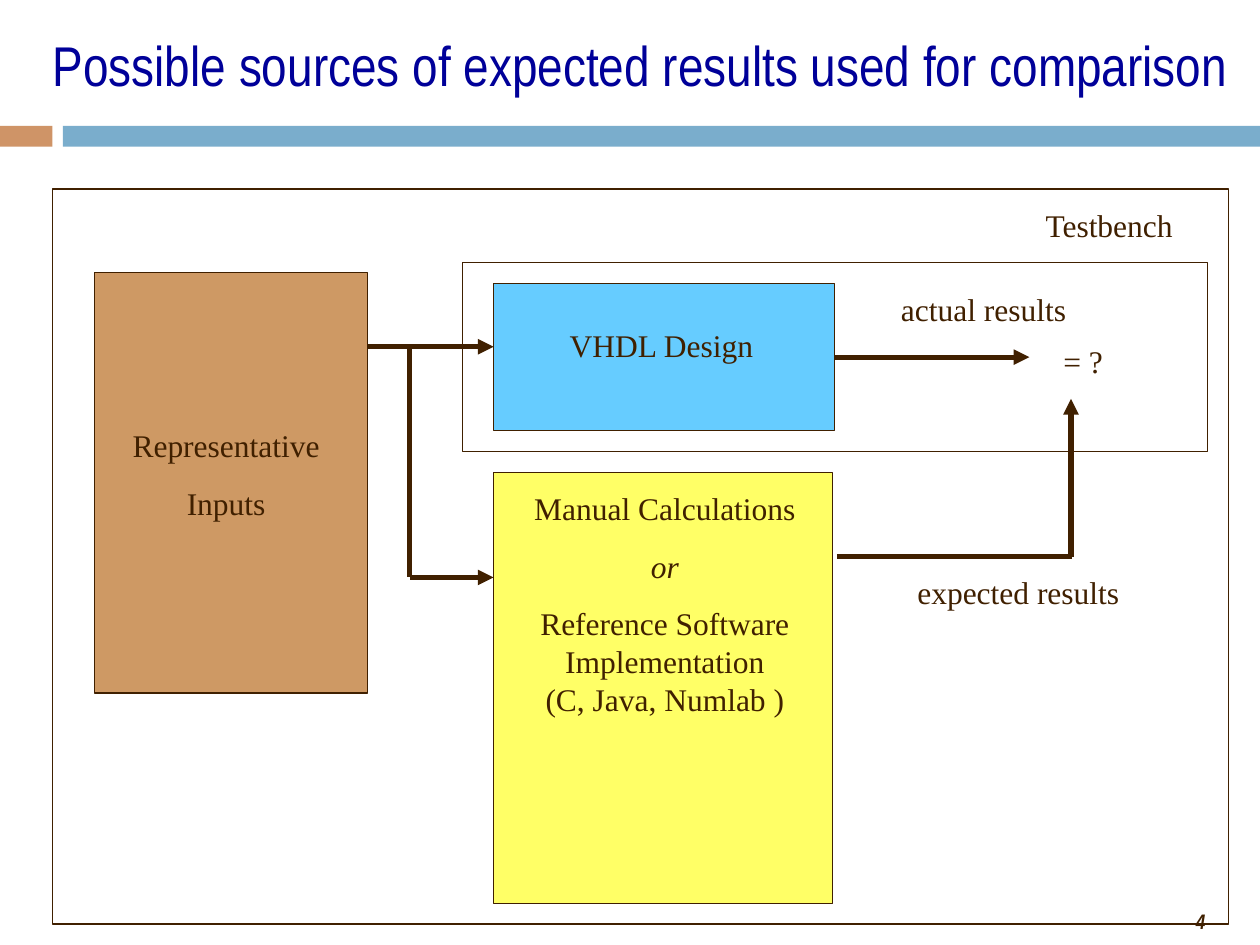
from lxml.etree import SubElement
from pptx import Presentation
from pptx.dml.color import RGBColor
from pptx.enum.shapes import MSO_CONNECTOR as Line, MSO_SHAPE as Shape
from pptx.enum.text import MSO_AUTO_SIZE as AutoSize, PP_ALIGN as Align
from pptx.oxml.ns import qn
from pptx.util import Cm, Pt

INK = "402000"
BODY = {"name": "Times New Roman", "size": Pt(18)}
TITLE = {"name": "Arial Narrow", "size": Pt(32)}
PAGE = {"name": "Arial Narrow", "size": Pt(12), "bold": True, "italic": True}


def colour(hex_value):
    return RGBColor.from_string(hex_value)


def place(box, left, top, width, height):
    """Turn a position relative to box into absolute lengths."""
    return Cm(box[0] + left), Cm(box[1] + top), Cm(width), Cm(height)


def add_block(slide, box, at, fill=None, outlined=True):
    block = slide.shapes.add_shape(Shape.RECTANGLE, *place(box, *at))
    block.shadow.inherit = False
    if fill:
        block.fill.solid()
        block.fill.fore_color.rgb = colour(fill)
    else:
        block.fill.background()
    if outlined:
        block.line.color.rgb = colour(INK)
        block.line.width = Pt(0.75)
    else:
        block.line.fill.background()
    return block


def add_text(slide, box, at, paragraphs, font=BODY, ink=INK, wrap=True,
             align=Align.CENTER, spacing=None):
    frame = slide.shapes.add_textbox(*place(box, *at)).text_frame
    frame.word_wrap = wrap
    frame.auto_size = AutoSize.SHAPE_TO_FIT_TEXT
    for i, (words, extra) in enumerate(paragraphs):
        paragraph = frame.add_paragraph() if i else frame.paragraphs[0]
        paragraph.text = words
        paragraph.alignment = align
        paragraph.line_spacing = spacing
        if i:
            paragraph.space_before = Pt(11.2)
        for run in paragraph.runs:
            for key, value in {**font, **extra}.items():
                setattr(run.font, key, value)
            run.font.color.rgb = colour(ink)


def add_flow(slide, box, start, end, arrow=True):
    ends = [Cm(box[i] + point[i]) for point in (start, end) for i in (0, 1)]
    flow = slide.shapes.add_connector(Line.STRAIGHT, *ends)
    flow.line.color.rgb = colour(INK)
    flow.line.width = Pt(3)
    properties = flow.element.spPr
    if arrow:
        SubElement(properties.find(qn("a:ln")), qn("a:tailEnd"), type="triangle")
    SubElement(properties, qn("a:effectLst"))
    return flow


def add_header(slide, box):
    # Two-colour band under the title
    add_block(slide, box, (0, 2.54, 1.06, 0.42), "CF9467", outlined=False)
    add_block(slide, box, (1.27, 2.54, 24.13, 0.42), "7AADCC", outlined=False)
    add_text(slide, box, (-0.42, 0.5, 26.67, 1.63),
             [("Possible sources of expected results used for comparison", {})],
             font=TITLE, ink="000099")


def add_testbench(slide, box):
    # Blocks and frames
    add_block(slide, box, (0, 0, *box[2:]))
    add_block(slide, box, (0.85, 1.69, 5.5, 8.47), "CE9964")
    design = add_block(slide, box, (8.89, 1.91, 6.88, 2.96), "66CCFF")
    add_block(slide, box, (8.89, 5.72, 6.83, 8.69), "FFFF66")
    add_block(slide, box, (8.26, 1.48, 15.03, 3.81))

    # Block captions
    add_text(slide, box, (0.64, 4.66, 5.72, 2.18),
             [("Representative", {}), ("Inputs", {})])
    add_text(slide, box, (8.68, 2.84, 7.19, 0.79), [("VHDL Design", {})], spacing=0.7)
    add_text(slide, box, (8.89, 5.93, 6.91, 4.88),
             [("Manual Calculations", {}),
              ("or", {"italic": True}),
              ("Reference Software Implementation\n(C, Java, Numlab )", {})])

    # Inputs to the design and to the reference
    add_flow(slide, box, (6.35, 3.18), (8.89, 3.18))
    add_flow(slide, box, (7.2, 3.18), (7.2, 7.83), arrow=False)
    add_flow(slide, box, (7.2, 7.83), (8.89, 7.83))

    # Results to the comparison
    actual = add_flow(slide, box, (15.77, 3.39), (19.69, 3.39))
    actual.begin_connect(design, 3)
    add_flow(slide, box, (15.81, 7.41), (20.56, 7.41), arrow=False)
    add_flow(slide, box, (20.53, 7.41), (20.53, 4.23))

    # Labels
    for words, left, top, width in (
        ("expected results", 17.12, 7.62, 4.7),
        ("Testbench", 19.75, 0.21, 3.1),
        ("actual results", 16.85, 1.91, 3.84),
        ("= ?", 20.05, 2.96, 1.45),
    ):
        add_text(slide, box, (left, top, width, 1.02), [(words, {})], wrap=False)


def add_page_number(slide, box):
    add_text(slide, box, (0, 0, *box[2:]), [("4", {})], font=PAGE, align=Align.RIGHT)


def main():
    deck = Presentation()
    deck.slide_width, deck.slide_height = Cm(25.4), Cm(19.05)
    slide = deck.slides.add_slide(deck.slide_layouts[6])
    add_page_number(slide, (19.05, 18.2, 5.5, 0.76))
    add_header(slide, (0, 0, 25.4, 2.96))
    add_testbench(slide, (1.06, 3.81, 23.71, 14.82))
    deck.save("out.pptx")


if __name__ == "__main__":
    main()
